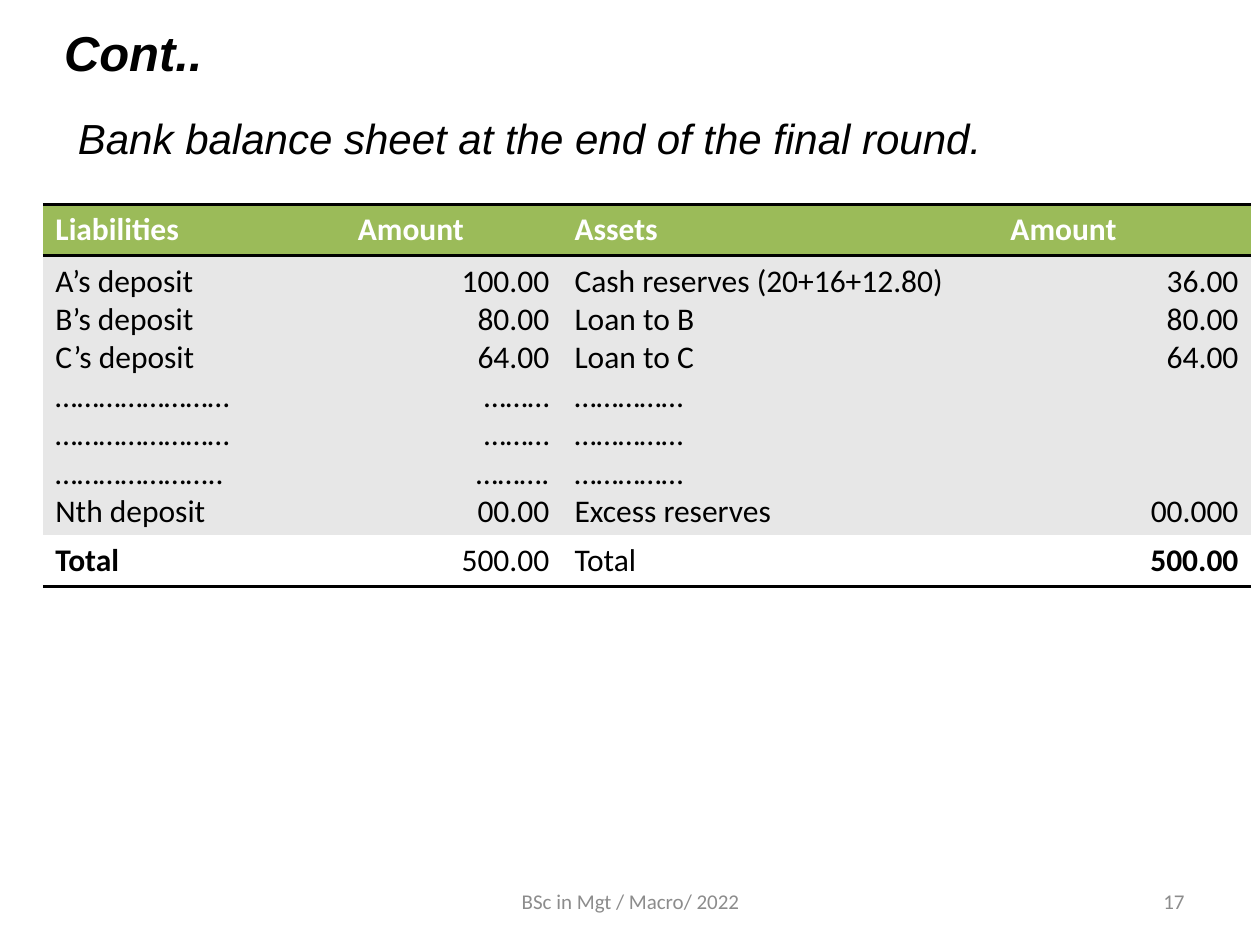
from lxml.etree import SubElement
from pptx import Presentation
from pptx.dml.color import RGBColor
from pptx.enum.text import MSO_ANCHOR, PP_ALIGN
from pptx.oxml import parse_xml
from pptx.oxml.ns import nsdecls, qn
from pptx.util import Inches, Pt

COLORS = {"ink": "000000", "head": "9BBB59", "band": "E7E7E7",
          "paper": "FFFFFF", "muted": "8C8C8C"}
PLAIN = "{2D5ABB26-0587-4C30-8999-92F81FD0307C}"  # table style without grid

HEADS = ["Liabilities", "Amount", "Assets", "Amount"]
BODY = [
    ["A’s deposit", "B’s deposit", "C’s deposit", "……………………",
     "……………………", "…………………..", "Nth deposit"],
    ["100.00", "80.00", "64.00", "………", "………", "……….", "00.00"],
    ["Cash reserves (20+16+12.80)\nLoan to B", "Loan to C", "……………",
     "……………", "……………", "Excess reserves"],
    ["36.00", "80.00", "64.00", "00.000"],
]
TOTALS = ["Total", "500.00", "Total", "500.00"]


def add_run(para, text, size, font, color, bold=False, italic=False):
    for i, line in enumerate(text.split("\n")):
        if i:
            para.add_line_break()
        run = para.add_run()
        run.text = line
        run.font.size = Pt(size)
        run.font.name = font
        run.font.bold = bold
        run.font.italic = italic
        run.font.color.rgb = RGBColor.from_string(COLORS[color])


def add_label(slide, box, text, size, font, color, align=PP_ALIGN.LEFT,
              anchor=MSO_ANCHOR.TOP, **style):
    frame = slide.shapes.add_textbox(*map(Inches, box)).text_frame
    frame.word_wrap = True
    frame.vertical_anchor = anchor
    para = frame.paragraphs[0]
    para.alignment = align
    add_run(para, text, size, font, color, **style)


def add_rule(cell, side):
    """Draw a 2 pt border on one side, ahead of the cell's fill."""
    line = parse_xml(f'<a:{side} {nsdecls("a")} w="{Pt(2)}"/>')
    fill = SubElement(line, qn("a:solidFill"))
    SubElement(fill, qn("a:srgbClr"), val=COLORS["ink"])
    cell._tc.get_or_add_tcPr().insert(0, line)


def fill_cell(cell, lines, fill, color="ink", align=PP_ALIGN.LEFT,
              bold=False, sides=()):
    cell.fill.solid()
    cell.fill.fore_color.rgb = RGBColor.from_string(COLORS[fill])
    frame = cell.text_frame
    for i, text in enumerate(lines):
        para = frame.add_paragraph() if i else frame.paragraphs[0]
        para.alignment = align
        add_run(para, text, 18, "Calibri", color, bold)
    for side in sides:
        add_rule(cell, side)


def add_sheet(slide, box):
    table = slide.shapes.add_table(3, 4, *map(Inches, box)).table
    table._tbl.tblPr.find(qn("a:tableStyleId")).text = PLAIN
    table.horz_banding = False
    for col, width in zip(table.columns, [2.4, 1.72, 3.46, 2.01]):
        col.width = Inches(width)
    for row, height in zip(table.rows, [0.41, 2.19, 0.41]):
        row.height = Inches(height)

    for c in range(4):
        align = PP_ALIGN.RIGHT if c % 2 else PP_ALIGN.LEFT
        fill_cell(table.cell(0, c), [HEADS[c]], "head", "paper", bold=True,
                  sides=("lnB", "lnT"))
        fill_cell(table.cell(1, c), BODY[c], "band", align=align)
        fill_cell(table.cell(2, c), [TOTALS[c]], "paper", align=align,
                  bold=c in (0, 3), sides=("lnB",))
    # Drop the excess reserve three lines, level with its label
    table.cell(1, 3).text_frame.paragraphs[-1].space_before = Pt(66)


def add_header(slide, box):
    left, top, width, _ = box
    add_label(slide, (left, top, width, 0.57), "Cont..", 28, "Arial", "ink",
              bold=True, italic=True)
    add_label(slide, (left + 0.11, top + 0.71, width - 0.22, 0.5),
              "Bank balance sheet at the end of the final round.", 24,
              "Arial", "ink", PP_ALIGN.JUSTIFY, italic=True)


def add_footer(slide, box):
    left, top, width, height = box
    notes = [(0, 3.17, "BSc in Mgt / Macro/ 2022", PP_ALIGN.CENTER),
             (width - 2.33, 2.33, "17", PP_ALIGN.RIGHT)]
    for shift, wide, text, align in notes:
        add_label(slide, (left + shift, top, wide, height), text, 12,
                  "Calibri", "muted", align, MSO_ANCHOR.MIDDLE)


def main():
    deck = Presentation()
    deck.slide_width, deck.slide_height = Inches(10), Inches(7.5)
    slide = deck.slides.add_slide(deck.slide_layouts[6])
    add_header(slide, (0.41, 0.13, 9.45, 1.21))
    add_sheet(slide, (0.34, 1.62, 9.59, 3.01))
    add_footer(slide, (3.42, 6.95, 6.08, 0.4))
    deck.save("out.pptx")


if __name__ == "__main__":
    main()
